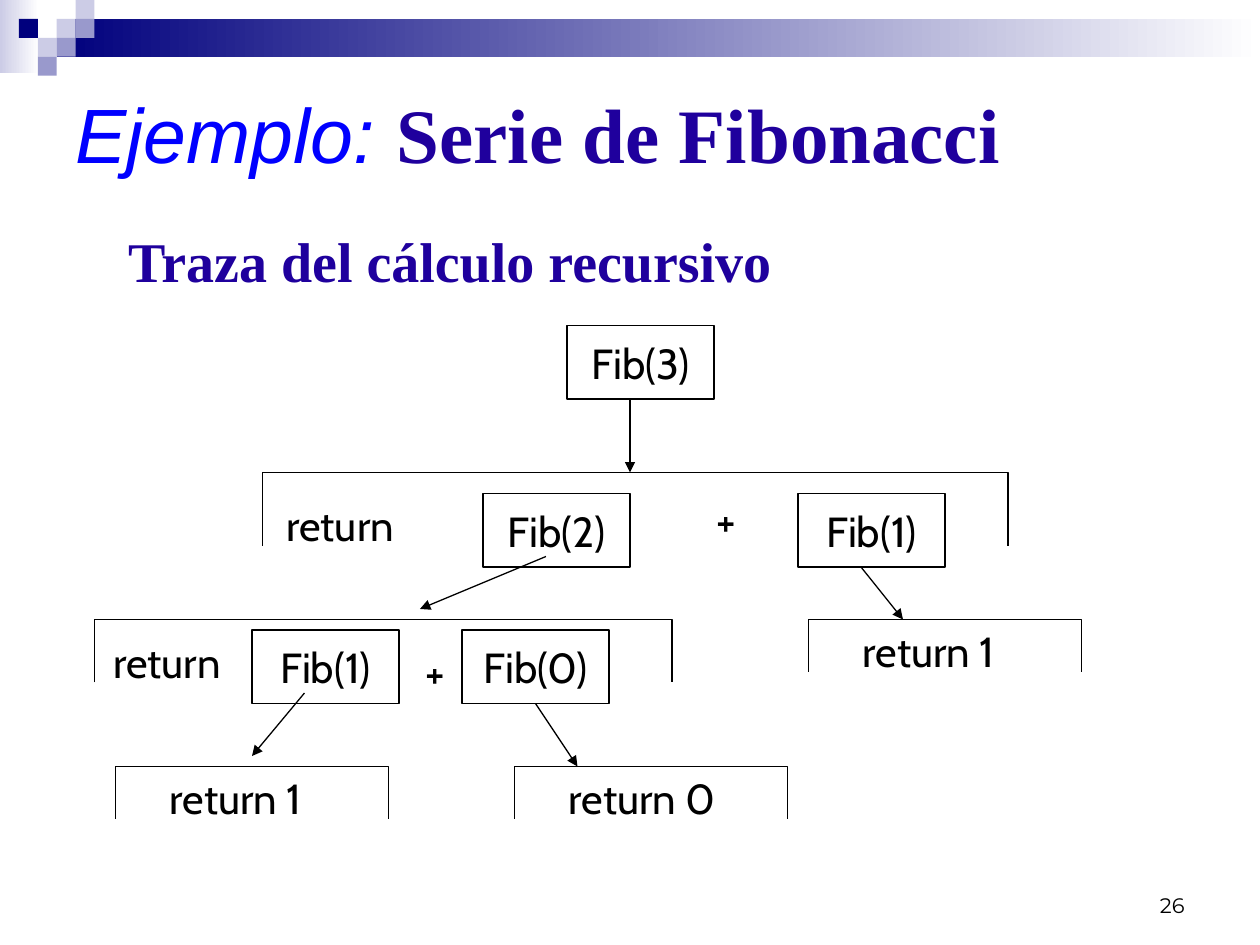
from dataclasses import dataclass
from typing import NamedTuple

from lxml import etree
from pptx import Presentation
from pptx.dml.color import RGBColor
from pptx.enum.shapes import MSO_CONNECTOR, MSO_SHAPE
from pptx.enum.text import MSO_ANCHOR, MSO_AUTO_SIZE, PP_ALIGN
from pptx.oxml.ns import qn
from pptx.util import Emu, Inches, Pt

RECTANGLE = MSO_SHAPE.RECTANGLE
STRAIGHT = MSO_CONNECTOR.STRAIGHT
LEFT, CENTER, RIGHT = PP_ALIGN.LEFT, PP_ALIGN.CENTER, PP_ALIGN.RIGHT
TOP, MIDDLE, BOTTOM = MSO_ANCHOR.TOP, MSO_ANCHOR.MIDDLE, MSO_ANCHOR.BOTTOM
NO_AUTOFIT = MSO_AUTO_SIZE.NONE

SLIDE_WIDTH, SLIDE_HEIGHT = Inches(10), Inches(7.5)
COLUMNS, ROWS = 120, 90
TILE = 1.8


@dataclass(frozen=True)
class Theme:
    ink: RGBColor = RGBColor(0, 0, 0)
    white: RGBColor = RGBColor(255, 255, 255)
    navy: RGBColor = RGBColor(0x00, 0x00, 0x7D)
    lilac: RGBColor = RGBColor(0x99, 0x99, 0xCC)
    mist: RGBColor = RGBColor(0xCC, 0xCC, 0xE6)
    example: RGBColor = RGBColor(0x00, 0x00, 0xFF)
    heading: RGBColor = RGBColor(0x1F, 0x00, 0x9D)
    title_size: int = 44
    subtitle_size: int = 32
    trace_size: int = 24
    number_size: int = 12
    stroke: float = 0.75


THEME = Theme()
EXAMPLE = dict(name="Arial", size=Pt(THEME.title_size), italic=True, bold=False)
TOPIC = dict(name="Times New Roman", size=Pt(THEME.title_size), italic=False, bold=True)
SUBTITLE = dict(name="Times New Roman", size=Pt(THEME.subtitle_size), bold=True)
TRACE = dict(name="Cabin", size=Pt(THEME.trace_size))
NUMBER = dict(name="Montserrat", size=Pt(THEME.number_size))


class Area(NamedTuple):
    column: float
    row: float
    width: float
    height: float


class Call(NamedTuple):
    text: str
    column: float
    row: float


class Label(NamedTuple):
    text: str
    area: Area


class Arrow(NamedTuple):
    start: tuple[float, float]
    end: tuple[float, float]


class Tile(NamedTuple):
    column: int
    row: int
    color: RGBColor


TILES = [
    Tile(3, 1, THEME.mist), Tile(4, 0, THEME.mist), Tile(4, 1, THEME.lilac),
    Tile(2, 2, THEME.mist), Tile(1, 1, THEME.navy), Tile(3, 2, THEME.lilac),
    Tile(2, 3, THEME.lilac),
]
CALLS = [
    Call("Fib(3)", 54, 31), Call("Fib(2)", 46, 47), Call("Fib(1)", 76, 47),
    Call("Fib(1)", 24, 60), Call("Fib(0)", 44, 60),
]
FRAMES = [
    Area(25, 45, 71, 7), Area(9, 59, 55, 6), Area(77, 59, 26, 5),
    Area(11, 73, 26, 5), Area(49, 73, 26, 5),
]
LABELS = [
    Label("return", Area(26.1, 47, 15.4, 6)),
    Label("+", Area(67.1, 46.5, 4.7, 6)),
    Label("return", Area(9.6, 60, 15.4, 6)),
    Label("+", Area(39.3, 61, 4.7, 6)),
    Label("return 1", Area(81, 59, 17.6, 6)),
    Label("return 1", Area(15, 73, 17.6, 6)),
    Label("return 0", Area(53, 73, 17.6, 6)),
]
ARROWS = [
    Arrow((60, 38), (60, 45)), Arrow((52, 53), (40, 58)),
    Arrow((82, 54), (86, 59)), Arrow((29, 66), (24, 72)),
    Arrow((51, 67), (55, 73)),
]


def across(columns: float) -> Emu:
    return Emu(round(SLIDE_WIDTH * columns / COLUMNS))


def down(rows: float) -> Emu:
    return Emu(round(SLIDE_HEIGHT * rows / ROWS))


def bounds(area: Area) -> tuple[Emu, Emu, Emu, Emu]:
    return across(area.column), down(area.row), across(area.width), down(area.height)


def apply(target, values: dict) -> None:
    for name, value in values.items():
        setattr(target, name, value)


def write(paragraph, text: str, style: dict, color: RGBColor) -> None:
    run = paragraph.add_run()
    run.text = text
    apply(run.font, style)
    run.font.color.rgb = color


def outline(shape) -> None:
    shape.line.color.rgb = THEME.ink
    shape.line.width = Pt(THEME.stroke)


def draw_block(slide, area: Area, color: RGBColor, fading: bool = False) -> None:
    block = slide.shapes.add_shape(RECTANGLE, *bounds(area))
    block.shadow.inherit = False
    block.line.fill.background()
    if fading:
        block.fill.gradient()
        block.fill.gradient_angle = 0
        for stop, shade in zip(block.fill.gradient_stops, (color, THEME.white)):
            stop.color.rgb = shade
    else:
        block.fill.solid()
        block.fill.fore_color.rgb = color


def draw_call(slide, call: Call) -> None:
    box = slide.shapes.add_shape(RECTANGLE, *bounds(Area(call.column, call.row, 14, 7)))
    box.shadow.inherit = False
    box.fill.background()
    outline(box)
    apply(box.text_frame, dict(word_wrap=False, vertical_anchor=MIDDLE))
    paragraph = box.text_frame.paragraphs[0]
    paragraph.alignment = CENTER
    write(paragraph, call.text, TRACE, THEME.ink)


def draw_frame(slide, area: Area) -> None:
    left, top, width, height = bounds(area)
    builder = slide.shapes.build_freeform(left, top + height)
    corners = [(left, top), (left + width, top), (left + width, top + height)]
    builder.add_line_segments(corners, close=False)
    frame = builder.convert_to_shape()
    frame.shadow.inherit = False
    frame.fill.background()
    outline(frame)


def draw_arrow(slide, arrow: Arrow) -> None:
    (x1, y1), (x2, y2) = arrow
    line = slide.shapes.add_connector(STRAIGHT, across(x1), down(y1), across(x2), down(y2))
    outline(line)
    etree.SubElement(line.line._get_or_add_ln(), qn("a:tailEnd"), type="triangle")
    etree.SubElement(line._element.spPr, qn("a:effectLst"))


def draw_label(slide, label: Label, style: dict, alignment=LEFT, anchor=TOP) -> None:
    frame = slide.shapes.add_textbox(*bounds(label.area)).text_frame
    apply(frame, dict(word_wrap=True, vertical_anchor=anchor))
    frame.paragraphs[0].alignment = alignment
    write(frame.paragraphs[0], label.text, style, THEME.ink)


def place(holder, area: Area, anchor):
    apply(holder, dict(zip(("left", "top", "width", "height"), bounds(area))))
    apply(holder.text_frame, dict(word_wrap=True, auto_size=NO_AUTOFIT, vertical_anchor=anchor))
    paragraph = holder.text_frame.paragraphs[0]
    paragraph.alignment = LEFT
    return paragraph


def main() -> None:
    deck = Presentation()
    apply(deck, dict(slide_width=SLIDE_WIDTH, slide_height=SLIDE_HEIGHT))
    slide = deck.slides.add_slide(deck.slide_layouts[1])

    draw_block(slide, Area(0, 0, 3.7, 7), THEME.mist, fading=True)
    draw_block(slide, Area(3 * TILE, TILE, COLUMNS - 3 * TILE, 2 * TILE), THEME.navy, fading=True)
    for tile in TILES:
        draw_block(slide, Area(tile.column * TILE, tile.row * TILE, TILE, TILE), tile.color)

    title = place(slide.shapes.title, Area(6, 6, 108, 13.2), MIDDLE)
    write(title, "Ejemplo: ", EXAMPLE, THEME.example)
    write(title, "Serie de Fibonacci", TOPIC, THEME.heading)

    subtitle = place(slide.placeholders[1], Area(11, 21, 102, 62), TOP)
    subtitle.space_before = Pt(8)
    properties = subtitle._p.get_or_add_pPr()
    apply_indent = dict(marL=Inches(0.38), indent=-Inches(0.38))
    for name, value in apply_indent.items():
        properties.set(name, str(value))
    etree.SubElement(properties, qn("a:buNone"))
    write(subtitle, "Traza del cálculo recursivo", SUBTITLE, THEME.heading)

    for draw, parts in ((draw_frame, FRAMES), (draw_call, CALLS), (draw_arrow, ARROWS)):
        for part in parts:
            draw(slide, part)
    for label in LABELS:
        draw_label(slide, label, TRACE)
    draw_label(slide, Label("26", Area(86, 82, 28, 6)), NUMBER, RIGHT, BOTTOM)

    deck.save("out.pptx")


if __name__ == "__main__":
    main()
